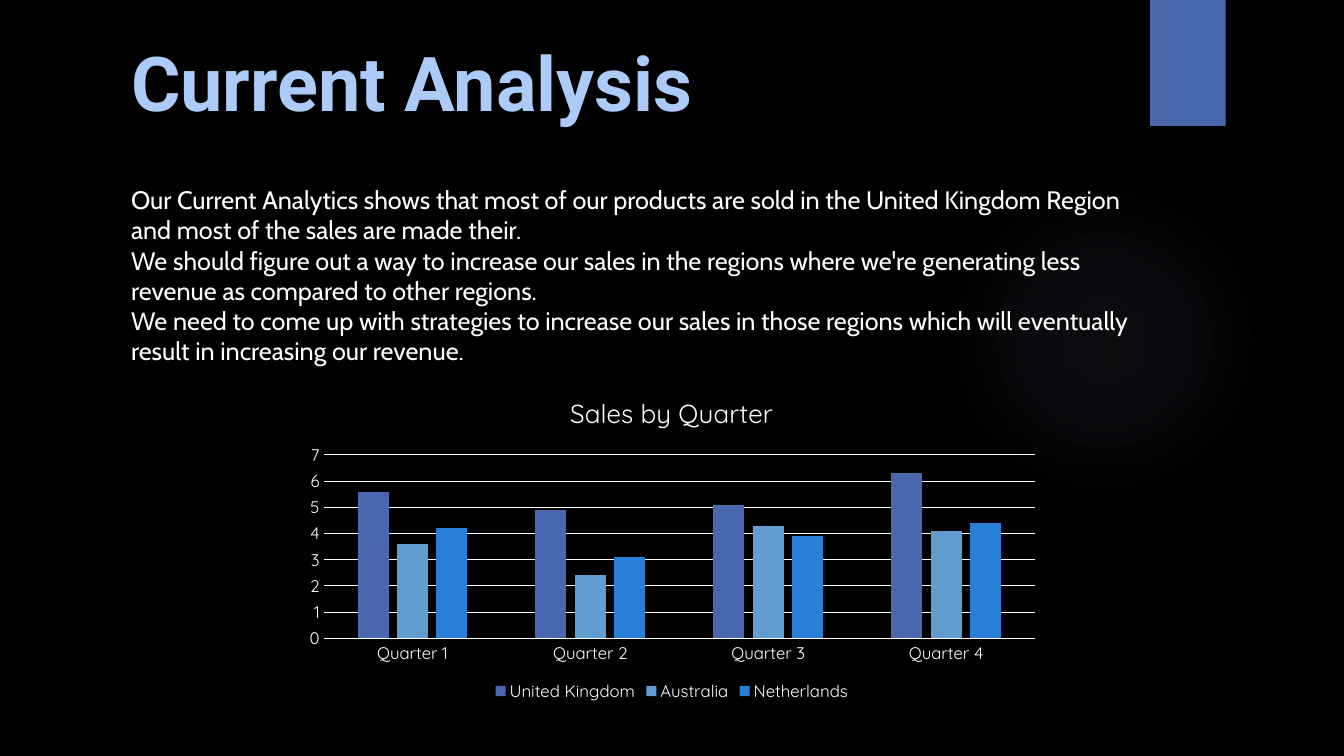
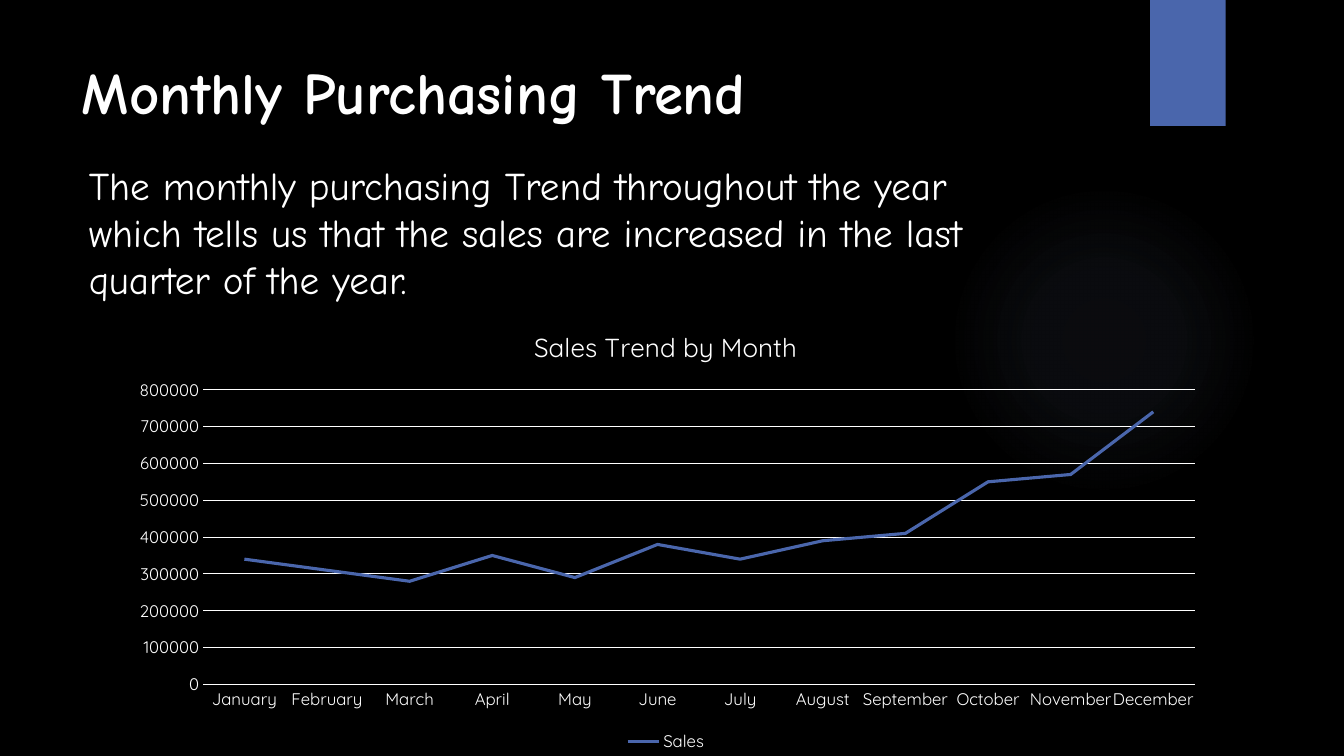
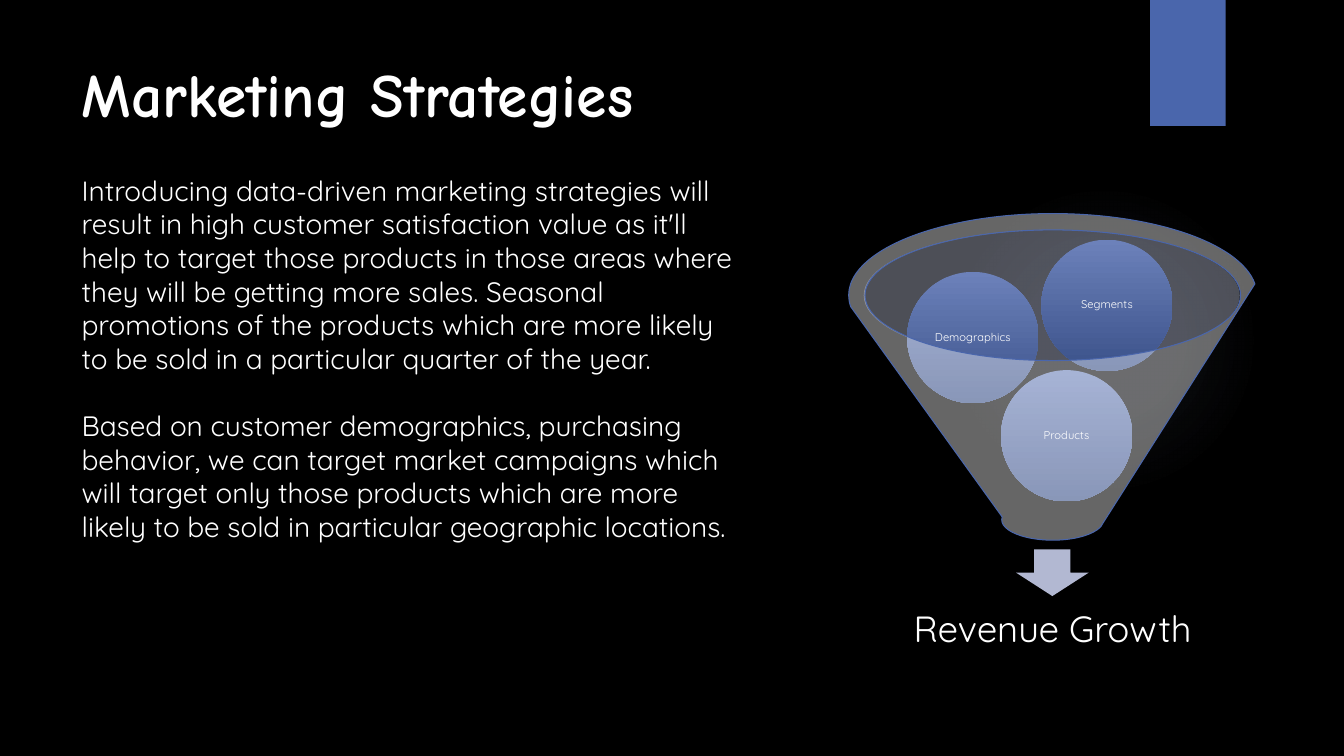
from lxml import etree
from pptx import Presentation
from pptx import util as u
from pptx.chart.data import CategoryChartData
from pptx.dml.color import RGBColor
from pptx.enum import chart as charts, shapes, text
from pptx.oxml import parse_xml
from pptx.oxml.ns import nsdecls, qn

BLUE, WHITE, PALE = "4A66AC", "FFFFFF", "ACCBF9"
SERIES_COLORS = [BLUE, "629DD1", "297FD5"]
DRAWING = nsdecls("a")


def color(hex_code):
    return RGBColor.from_string(hex_code)


def write(paragraph, words, font, size, hex_code=WHITE, bold=False):
    """Add one formatted run."""
    run = paragraph.add_run()
    run.text = words
    run.font.name, run.font.size, run.font.bold = font, u.Pt(size), bold
    run.font.color.rgb = color(hex_code)


presentation = Presentation()
presentation.slide_width, presentation.slide_height = u.Pt(960), u.Pt(540)
layout = presentation.slide_layouts[1]
master = presentation.slide_master

# Shared background and text styles
master.background.fill.solid()
master.background.fill.fore_color.rgb = color("000000")
styles = master.element.find(qn("p:txStyles"))
styles.find(qn("p:titleStyle")).find(qn("a:lvl1pPr")).set("algn", "l")
body_style = styles.find(qn("p:bodyStyle")).find(qn("a:lvl1pPr"))
body_style.set("marL", "0")
body_style.set("indent", "0")
bullet = body_style.find(qn("a:buChar"))
body_style.replace(bullet, parse_xml(f"<a:buNone {DRAWING}/>"))

pages = [
    dict(title="Current Analysis", title_box=(86.4, 22.3, 418.3, 114.5),
         title_style=("Roboto", 54, PALE), body_box=(86.4, 128.2, 738.7, 138.2),
         body_style=("Cabin", 18), gap=0,
         body=["Our Current Analytics shows that most of our products are sold in the "
               "United Kingdom Region and most of the sales are made their.",
               "We should figure out a way to increase our sales in the regions where "
               "we're generating less revenue as compared to other regions.",
               "We need to come up with strategies to increase our sales in those regions "
               "which will eventually result in increasing our revenue."]),
    dict(title="Monthly Purchasing Trend", title_box=(51.1, 36, 553.7, 85.7),
         title_style=("Comic Neue", 42, WHITE), body_box=(56.2, 111.6, 676.1, 108.7),
         body_style=("Comic Neue", 28), gap=0,
         body=["The monthly purchasing Trend throughout the year which tells us that the "
               "sales are increased in the last quarter of the year."]),
    dict(title="Marketing Strategies", title_box=(51.1, 36, 429.1, 85),
         title_style=("Comic Neue", 44, WHITE), body_box=(51.1, 120.2, 488.2, 322.6),
         body_style=("Quicksand", 20), gap=24,
         body=["Introducing data-driven marketing strategies will result in high customer "
               "satisfaction value as it'll help to target those products in those areas "
               "where they will be getting more sales. Seasonal promotions of the products "
               "which are more likely to be sold in a particular quarter of the year.",
               "Based on customer demographics, purchasing behavior, we can target market "
               "campaigns which will target only those products which are more likely to be "
               "sold in particular geographic locations."]),
]

# Titles and body text
slides = []
for page in pages:
    slide = presentation.slides.add_slide(layout)
    slides.append(slide)
    title, body = slide.placeholders
    for holder, box in ((title, page["title_box"]), (body, page["body_box"])):
        holder.left, holder.top, holder.width, holder.height = map(u.Pt, box)
        holder.text_frame.vertical_anchor = text.MSO_ANCHOR.TOP
        holder.text_frame.auto_size = text.MSO_AUTO_SIZE.NONE
    write(title.text_frame.paragraphs[0], page["title"], *page["title_style"], bold=True)
    for index, words in enumerate(page["body"]):
        frame = body.text_frame
        paragraph = frame.add_paragraph() if index else frame.paragraphs[0]
        paragraph.space_before = u.Pt(page["gap"] if index else 0)
        write(paragraph, words, *page["body_style"])

# Glow and corner band, moved to the master so that every slide shows them
glow = slides[0].shapes.add_shape(shapes.MSO_SHAPE.OVAL, *map(u.Pt, (677.5, 131.8, 221.8, 221.8)))
band = slides[0].shapes.add_shape(shapes.MSO_SHAPE.RECTANGLE, *map(u.Pt, (821.5, 0, 54, 90)))
band.fill.solid()
band.fill.fore_color.rgb = color(BLUE)
glow.fill.background()
stops = "".join(
    f'<a:gs pos="{position}000"><a:srgbClr val="90A2CF"><a:alpha val="{alpha}000"/></a:srgbClr></a:gs>'
    for position, alpha in ((0, 7), (36, 6), (69, 0)))
properties = glow.element.spPr
properties.replace(properties.find(qn("a:noFill")), parse_xml(
    f'<a:gradFill {DRAWING}><a:gsLst>{stops}</a:gsLst><a:path path="circle">'
    '<a:fillToRect l="50000" t="50000" r="50000" b="50000"/></a:path></a:gradFill>'))
for position, shape in enumerate((glow, band), start=2):
    shape.line.fill.background()
    shape.shadow.inherit = False
    master.shapes.element.insert(position, shape.element)

# Charts; the plot area is given as fractions of the chart
chart_pages = [
    dict(slide=slides[0], kind=charts.XL_CHART_TYPE.COLUMN_CLUSTERED, title="Sales by Quarter",
         box=(209.5, 270, 540.7, 234), plot_area=(0.04, 0.235, 0.94, 0.56),
         categories=[f"Quarter {number}" for number in range(1, 5)],
         series={"United Kingdom": (5.6, 4.9, 5.1, 6.3),
                 "Australia": (3.6, 2.4, 4.3, 4.1),
                 "Netherlands": (4.2, 3.1, 3.9, 4.4)}),
    dict(slide=slides[1], kind=charts.XL_CHART_TYPE.LINE, title="Sales Trend by Month",
         box=(82.1, 221, 787, 319), plot_area=(0.08, 0.18, 0.9, 0.66),
         categories=["January", "February", "March", "April", "May", "June", "July",
                     "August", "September", "October", "November", "December"],
         series={"Sales": (340000, 310000, 280000, 350000, 290000, 380000,
                           340000, 390000, 410000, 550000, 570000, 740000)}),
]
for page in chart_pages:
    data = CategoryChartData()
    data.categories = page["categories"]
    for name, values in page["series"].items():
        data.add_series(name, values)
    chart = page["slide"].shapes.add_chart(page["kind"], *map(u.Pt, page["box"]), data).chart
    chart.font.name, chart.font.size = "Quicksand", u.Pt(12)
    chart.font.color.rgb = color(WHITE)
    chart.has_title = True
    write(chart.chart_title.text_frame.paragraphs[0], page["title"], "Quicksand", 18.6)
    chart.chart_title.include_in_layout = False
    chart.has_legend = True
    chart.legend.position = charts.XL_LEGEND_POSITION.BOTTOM
    chart.legend.include_in_layout = False
    for axis in (chart.category_axis, chart.value_axis):
        axis.major_tick_mark = axis.minor_tick_mark = charts.XL_TICK_MARK.NONE
    chart.value_axis.format.line.fill.background()
    chart.value_axis.has_major_gridlines = True
    for line in (chart.category_axis.format.line, chart.value_axis.major_gridlines.format.line):
        line.color.rgb, line.width = color(WHITE), u.Pt(0.75)

    plot = chart.plots[0]
    plot.vary_by_categories = False
    is_line = page["kind"] == charts.XL_CHART_TYPE.LINE
    if not is_line:
        plot.gap_width, plot.overlap = 219, -27
    for series, hex_code in zip(plot.series, SERIES_COLORS):
        if is_line:
            series.smooth = False
            series.format.line.color.rgb, series.format.line.width = color(hex_code), u.Pt(2.25)
        else:
            series.format.fill.solid()
            series.format.fill.fore_color.rgb = color(hex_code)

    plot_area = chart.element.chart.plotArea
    for old_layout in plot_area.findall(qn("c:layout")):
        plot_area.remove(old_layout)
    area_layout = etree.Element(qn("c:layout"))
    manual = etree.SubElement(area_layout, qn("c:manualLayout"))
    settings = [("layoutTarget", "inner"), ("xMode", "edge"), ("yMode", "edge")]
    for tag, value in settings + list(zip("xywh", page["plot_area"])):
        etree.SubElement(manual, qn(f"c:{tag}")).set("val", str(value))
    plot_area.insert(0, area_layout)

# Funnel diagram, from back to front: kind, box, fill, opacity, label
OVAL, BALL = shapes.MSO_SHAPE.OVAL, 93.8
diagram = [
    (OVAL, (617, 164.2, 268.6, 93.6), "C1C6DB", 40, ""),
    (shapes.MSO_SHAPE.DOWN_ARROW, (725.8, 392.4, 51.8, 33.4), "B2B8D2", 100, ""),
    (OVAL, (715, 264.4, BALL, BALL), None, 100, "Products"),
    (OVAL, (648, 194.2, BALL, BALL), None, 100, "Demographics"),
    (OVAL, (743.8, 171.2, BALL, BALL), None, 100, "Segments"),
    (shapes.MSO_SHAPE.FUNNEL, (606.2, 152.6, 291.6, 233.3), WHITE, 40, ""),
]
labels = []
for kind, box, hex_code, opacity, label in diagram:
    shape = slides[2].shapes.add_shape(kind, *map(u.Pt, box))
    shape.shadow.inherit = False
    shape.line.fill.background()
    if hex_code:
        shape.fill.solid()
        shape.fill.fore_color.rgb = color(hex_code)
        fill_color = shape.element.spPr.find(qn("a:solidFill"))[0]
        etree.SubElement(fill_color, qn("a:alpha")).set("val", str(opacity * 1000))
    else:
        shape.fill.gradient()
        shape.fill.gradient_angle = 270
        for stop, stop_color in zip(shape.fill.gradient_stops, ("6C81BA", "3B528A")):
            stop.color.rgb = color(stop_color)
        labels.append((shape, label, 8))
    if kind == shapes.MSO_SHAPE.FUNNEL:
        shape.line.color.rgb, shape.line.width = color(BLUE), u.Pt(0.75)

result = slides[2].shapes.add_textbox(*map(u.Pt, (627.1, 419, 249.8, 62.6)))
labels.append((result, "Revenue Growth", 26))
for shape, label, size in labels:
    frame = shape.text_frame
    frame.word_wrap = True
    frame.vertical_anchor = text.MSO_ANCHOR.MIDDLE
    frame.margin_left = frame.margin_right = frame.margin_top = frame.margin_bottom = 0
    paragraph = frame.paragraphs[0]
    paragraph.alignment = text.PP_ALIGN.CENTER
    paragraph.line_spacing = 0.9
    write(paragraph, label, "Quicksand", size)

presentation.save("out.pptx")
